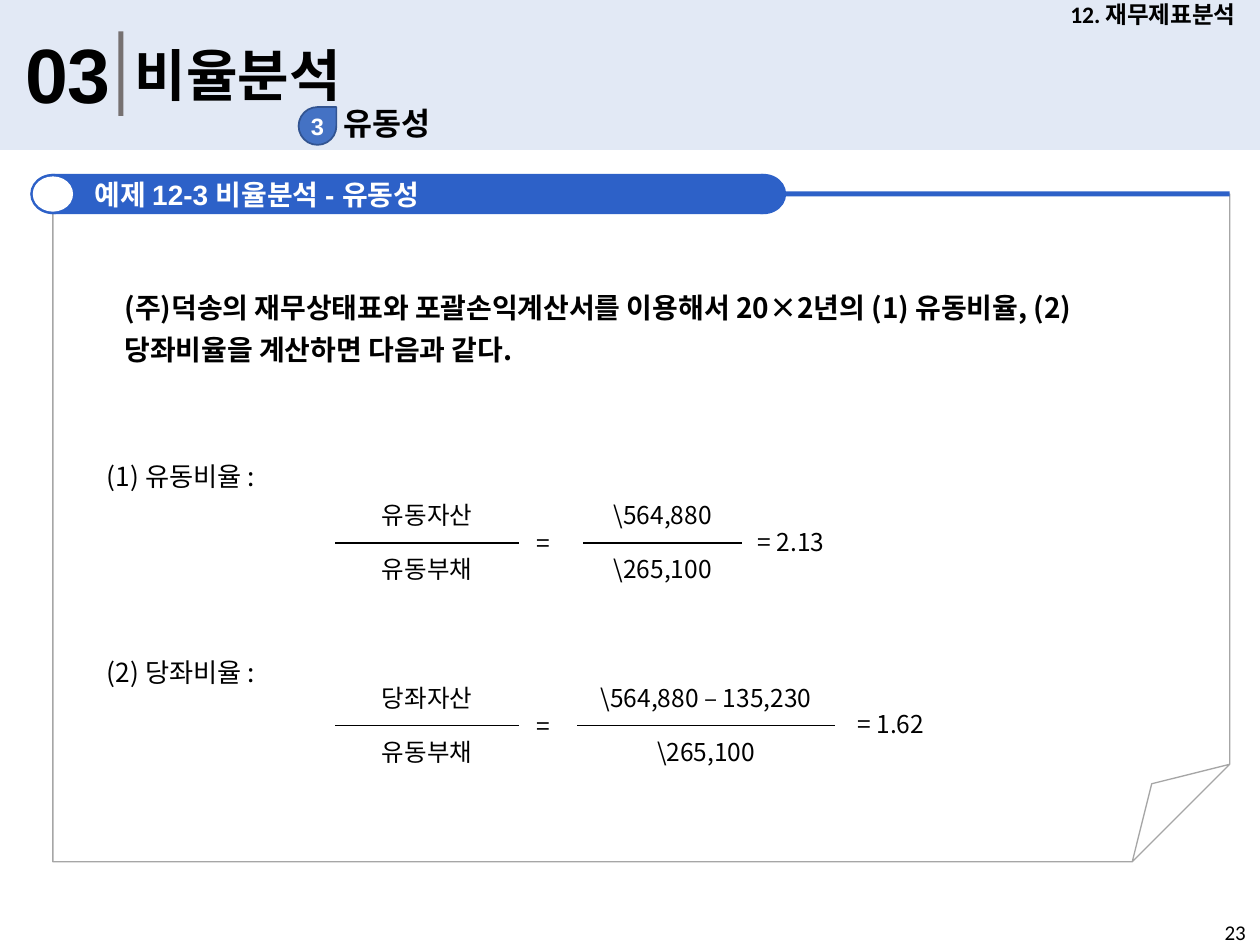
import pptx
import pptx.util
from lxml import etree
from pptx.dml.color import RGBColor
from pptx.enum.shapes import MSO_CONNECTOR, MSO_SHAPE
from pptx.enum.text import MSO_ANCHOR, MSO_AUTO_SIZE, PP_ALIGN
from pptx.oxml.ns import qn
from pptx.util import Inches, Pt

BLACK = RGBColor(0x00, 0x00, 0x00)
WHITE = RGBColor(0xFF, 0xFF, 0xFF)
HEADER = RGBColor(0xDA, 0xE3, 0xF3)
GRAY = RGBColor(0x76, 0x71, 0x71)
FRAME = RGBColor(0xA6, 0xA6, 0xA6)
BANNER = RGBColor(0x2D, 0x61, 0xC8)
BADGE = RGBColor(0x44, 0x72, 0xC4)
BADGE_EDGE = RGBColor(0x32, 0x54, 0x91)
NOTO = "Noto Sans CJK KR"

CHAPTER = "12. 재무제표분석"
SECTION_NUMBER, SECTION = "03", "비율분석"
TOPIC_NUMBER, TOPIC = "3", "유동성"
EXAMPLE = "예제 12-3 비율분석 - 유동성"
QUESTION = ("(주)덕송의 재무상태표와 포괄손익계산서를 이용해서 20×2년의 "
            "(1) 유동비율, (2) 당좌비율을 계산하면 다음과 같다.")
PAGE = "23"

# Each fraction: numerator, denominator, left and right end of its bar
RATIOS = [
    {"label": "(1) 유동비율 :", "label_top": 3.52, "bar_y": 4.31,
     "fractions": [("유동자산", "유동부채", 2.66, 4.12),
                   ("\\564,880", "\\265,100", 4.63, 5.89)],
     "result": "= 2.13", "result_x": 6.28},
    {"label": "(2) 당좌비율 :", "label_top": 5.08, "bar_y": 5.76,
     "fractions": [("당좌자산", "유동부채", 2.66, 4.12),
                   ("\\564,880 – 135,230", "\\265,100", 4.58, 6.63)],
     "result": "= 1.62", "result_x": 7.07},
]
EQUALS_X = 4.31
TEXT_HEIGHT = 0.34


def write(shape, text, size, font="Calibri", color=BLACK, bold=False,
          align=PP_ALIGN.LEFT, anchor=MSO_ANCHOR.TOP, wrap=True, spacing=None):
    tf = shape.text_frame
    tf.text = text
    tf.word_wrap = wrap
    tf.auto_size = MSO_AUTO_SIZE.NONE
    tf.vertical_anchor = anchor
    p = tf.paragraphs[0]
    p.alignment = align
    if spacing:
        p.line_spacing = Pt(spacing)
    for r in p.runs:
        r.font.size, r.font.bold, r.font.name = Pt(size), bold, font
        r.font.color.rgb = color
        if font == NOTO:
            east_asian = etree.SubElement(r.font._element, qn("a:ea"))
            east_asian.set("typeface", font)
    return tf


def add_text(s, box, text, size, **style):
    tb = s.shapes.add_textbox(*map(Inches, box))
    return write(tb, text, size, **style)


def add_shape(s, kind, box, fill=None, line=None, width=1):
    sp = s.shapes.add_shape(kind, *map(Inches, box))
    sp.shadow.inherit = False
    if fill is None:
        sp.fill.background()
    else:
        sp.fill.solid()
        sp.fill.fore_color.rgb = fill
    if line is None:
        sp.line.fill.background()
    else:
        sp.line.color.rgb = line
        sp.line.width = Pt(width)
    return sp


def add_term(s, text, center, top):
    """Formula text centred on a given x position."""
    add_text(s, (center - 0.5, top, 1, TEXT_HEIGHT), text, 14, font=NOTO,
             align=PP_ALIGN.CENTER, wrap=False)


def add_bar(s, left, right, y):
    bar = s.shapes.add_connector(MSO_CONNECTOR.STRAIGHT, Inches(left),
                                 Inches(y), Inches(right), Inches(y))
    bar.line.color.rgb = BLACK
    bar.line.width = Pt(0.75)
    etree.SubElement(bar._element.spPr, qn("a:effectLst"))


def add_header(s):
    band = add_shape(s, MSO_SHAPE.RECTANGLE, (0, 0, 10, 1.19), HEADER)
    color = band._element.spPr.find(".//" + qn("a:srgbClr"))
    etree.SubElement(color, qn("a:alpha")).set("val", "76000")
    # Bring the title in front of the band
    title = s.shapes.title
    s.shapes._spTree.append(title._element)
    title.left, title.top, title.width, title.height = map(
        Inches, (0.97, 0.27, 6.42, 0.64))
    write(title, SECTION, 32, bold=True)
    add_text(s, (0.1, 0.16, 0.91, 0.84), SECTION_NUMBER, 44, font="Arial",
             bold=True, wrap=False)
    add_shape(s, MSO_SHAPE.RECTANGLE, (0.94, 0.25, 0.04, 0.67), GRAY)
    add_text(s, (2.63, 0.78, 3.74, 0.4), TOPIC, 18, bold=True)
    badge = add_shape(s, MSO_SHAPE.TEAR, (2.37, 0.85, 0.3, 0.3), BADGE,
                      BADGE_EDGE)
    write(badge, TOPIC_NUMBER, 13.5, font="Arial", color=WHITE, bold=True,
          align=PP_ALIGN.CENTER, anchor=MSO_ANCHOR.MIDDLE, wrap=False)
    add_text(s, (8.3, 0, 1.7, 0.23), CHAPTER, 13.5, bold=True,
             align=PP_ALIGN.CENTER, anchor=MSO_ANCHOR.MIDDLE)


def add_example_frame(s):
    page = add_shape(s, MSO_SHAPE.FOLDED_CORNER, (0.42, 1.54, 9.34, 5.3),
                     line=FRAME, width=0.75)
    # python-pptx lists no adjustment for this preset
    guides = page._element.spPr.find(".//" + qn("a:avLst"))
    fold = etree.SubElement(guides, qn("a:gd"))
    fold.set("name", "adj")
    fold.set("fmla", "val 14600")
    add_shape(s, MSO_SHAPE.RECTANGLE, (0.43, 1.52, 9.33, 0.04), BANNER)
    for left in (0.24, 5.88):
        add_shape(s, MSO_SHAPE.OVAL, (left, 1.38, 0.36, 0.32), BANNER)
    banner = add_shape(s, MSO_SHAPE.RECTANGLE, (0.41, 1.38, 5.65, 0.32), BANNER)
    tf = write(banner, EXAMPLE, 16, font="Arial", color=WHITE, bold=True,
               anchor=MSO_ANCHOR.MIDDLE)
    tf.margin_left = Inches(0.34)
    add_shape(s, MSO_SHAPE.OVAL, (0.26, 1.4, 0.32, 0.28), WHITE)


def add_ratio(s, ratio):
    y = ratio["bar_y"]
    add_text(s, (0.75, ratio["label_top"], 8.5, 0.5), ratio["label"], 15,
             font=NOTO, align=PP_ALIGN.JUSTIFY, spacing=24)
    for numerator, denominator, left, right in ratio["fractions"]:
        center = (left + right) / 2
        add_term(s, numerator, center, y - 0.39)
        add_bar(s, left, right, y)
        add_term(s, denominator, center, y + 0.04)
    add_term(s, "=", EQUALS_X, y - 0.17)
    add_term(s, ratio["result"], ratio["result_x"], y - 0.18)


def main():
    prs = pptx.Presentation()
    prs.slide_width, prs.slide_height = Inches(10), Inches(7.5)
    s = prs.slides.add_slide(prs.slide_layouts[5])
    add_header(s)
    add_example_frame(s)
    add_text(s, (0.89, 2.19, 8.21, 1.2), QUESTION, 16, font=NOTO, bold=True,
             spacing=24)
    for ratio in RATIOS:
        add_ratio(s, ratio)
    add_text(s, (9.62, 7.25, 0.38, 0.25), PAGE, 12, wrap=False)
    prs.save("out.pptx")


if __name__ == "__main__":
    main()
